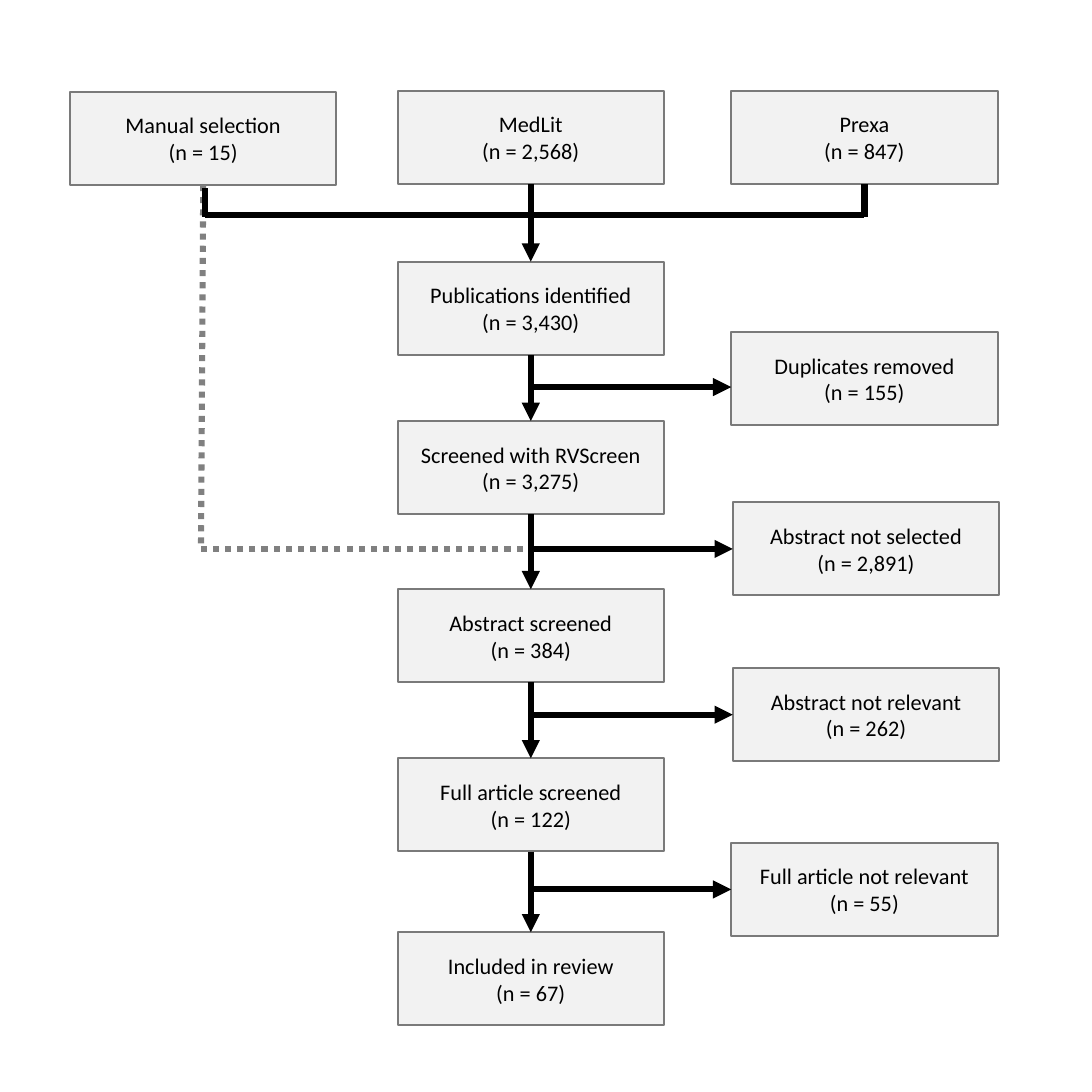
from dataclasses import dataclass
from itertools import pairwise

from lxml.etree import SubElement
from pptx import Presentation
from pptx.dml.color import RGBColor
from pptx.enum.dml import MSO_LINE
from pptx.enum.shapes import MSO_CONNECTOR, MSO_SHAPE
from pptx.enum.text import MSO_ANCHOR, PP_ALIGN
from pptx.oxml.ns import qn
from pptx.slide import Slide
from pptx.text.text import TextFrame
from pptx.util import Pt


@dataclass(frozen=True)
class Theme:
    font: str = "Calibri"
    size: float = 11
    text: str = "000000"
    box_fill: str = "F2F2F2"
    box_line: str = "7A7A7A"
    box_weight: float = 1
    flow: str = "000000"
    detour: str = "808080"
    flow_weight: float = 3


THEME = Theme()
BOX_WIDTH, BOX_HEIGHT = 131.8, 46.1
LEFT, CENTER, RIGHT = 34.6, 196.6, 361.6


@dataclass(frozen=True)
class Step:
    label: str
    count: str
    left: float
    top: float

    @property
    def middle_x(self) -> float:
        return self.left + BOX_WIDTH / 2

    @property
    def middle_y(self) -> float:
        return self.top + BOX_HEIGHT / 2

    @property
    def bottom(self) -> float:
        return self.top + BOX_HEIGHT


@dataclass(frozen=True)
class Link:
    start: tuple[float, float]
    end: tuple[float, float]
    color: str = THEME.flow
    arrow: bool = False
    dotted: bool = False


def write_text(frame: TextFrame, lines: list[str], *, font: str, size: float,
               color: str, align: PP_ALIGN = PP_ALIGN.CENTER) -> None:
    frame.word_wrap = True
    frame.vertical_anchor = MSO_ANCHOR.MIDDLE
    for index, line in enumerate(lines):
        para = frame.add_paragraph() if index else frame.paragraphs[0]
        para.alignment = align
        span = para.add_run()
        span.text = line
        span.font.name = font
        span.font.size = Pt(size)
        span.font.color.rgb = RGBColor.from_string(color)


def draw_step(page: Slide, step: Step) -> None:
    box = page.shapes.add_shape(MSO_SHAPE.RECTANGLE, Pt(step.left), Pt(step.top),
                                Pt(BOX_WIDTH), Pt(BOX_HEIGHT))
    box.shadow.inherit = False
    box.fill.solid()
    box.fill.fore_color.rgb = RGBColor.from_string(THEME.box_fill)
    box.line.color.rgb = RGBColor.from_string(THEME.box_line)
    box.line.width = Pt(THEME.box_weight)
    write_text(box.text_frame, [step.label, f"(n = {step.count})"],
               font=THEME.font, size=THEME.size, color=THEME.text)


def draw_link(page: Slide, link: Link) -> None:
    connector = page.shapes.add_connector(
        MSO_CONNECTOR.STRAIGHT, *map(Pt, link.start + link.end))
    connector.line.color.rgb = RGBColor.from_string(link.color)
    connector.line.width = Pt(THEME.flow_weight)
    if link.dotted:
        connector.line.dash_style = MSO_LINE.ROUND_DOT
    properties = connector.element.spPr
    if link.arrow:
        SubElement(properties.find(qn("a:ln")), qn("a:tailEnd"), type="triangle")
    SubElement(properties, qn("a:effectLst"))


manual = Step("Manual selection", "15", LEFT, 45.4)
medical = Step("MedLit", "2,568", CENTER, 44.8)
preprints = Step("Prexa", "847", RIGHT, 44.8)
stages = [
    medical,
    Step("Publications identified", "3,430", CENTER, 129.4),
    Step("Screened with RVScreen", "3,275", CENTER, 208.2),
    Step("Abstract screened", "384", CENTER, 291.4),
    Step("Full article screened", "122", CENTER, 375),
    Step("Included in review", "67", CENTER, 461),
]
exclusions = [
    Step("Duplicates removed", "155", RIGHT, 164.2),
    Step("Abstract not selected", "2,891", RIGHT + 0.8, 248.4),
    Step("Abstract not relevant", "262", RIGHT + 0.8, 330.4),
    Step("Full article not relevant", "55", RIGHT, 416.8),
]

axis = medical.middle_x
merge_y = 106.4
rejoin_y = exclusions[1].middle_y
detour_x = 99.4
manual_x = manual.middle_x + 0.8
branch_heights = [191.4] + [step.middle_y for step in exclusions[1:]]

links = [
    Link((manual.middle_x, manual.bottom), (detour_x, rejoin_y),
         color=THEME.detour, dotted=True),
    Link((axis - 4, rejoin_y), (detour_x, rejoin_y),
         color=THEME.detour, dotted=True),
    Link((manual_x, merge_y), (preprints.middle_x, merge_y)),
    Link((preprints.middle_x, merge_y + 0.7), (preprints.middle_x, preprints.bottom)),
    Link((manual_x, merge_y + 0.7), (manual_x, manual.bottom + 1.4)),
]
links += [Link((axis, upper.bottom), (axis, lower.top), arrow=True)
          for upper, lower in pairwise(stages)]
links += [Link((axis + 1.6, height), (step.left, height), arrow=True)
          for step, height in zip(exclusions, branch_heights)]

deck = Presentation()
deck.slide_width = deck.slide_height = Pt(540)
page = deck.slides.add_slide(deck.slide_layouts[6])
for step in [manual, preprints, *stages, *exclusions]:
    draw_step(page, step)
for link in links:
    draw_link(page, link)
deck.save("out.pptx")
